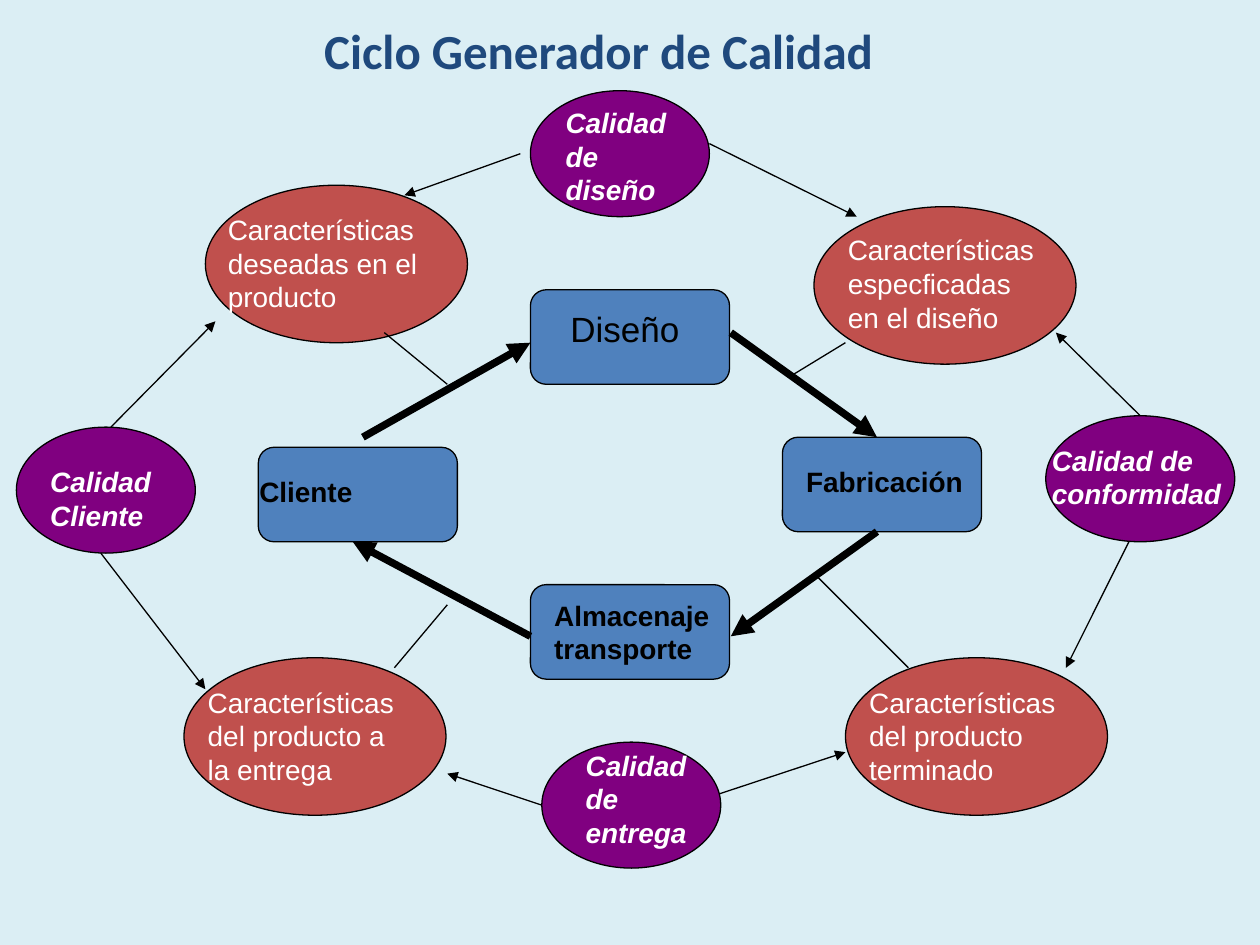
from lxml import etree
from pptx import Presentation
from pptx.dml.color import RGBColor
from pptx.enum.shapes import MSO_CONNECTOR, MSO_SHAPE
from pptx.enum.text import MSO_ANCHOR, PP_ALIGN
from pptx.oxml.ns import qn
from pptx.util import Cm, Pt

BACKGROUND = RGBColor(0xDB, 0xEE, 0xF4)
NAVY = RGBColor(0x1F, 0x49, 0x7D)
BLUE = RGBColor(0x4F, 0x81, 0xBD)
PURPLE = RGBColor(0x80, 0x00, 0x80)
RED = RGBColor(0xC0, 0x50, 0x4D)
BLACK = RGBColor(0, 0, 0)
WHITE = RGBColor(0xFF, 0xFF, 0xFF)

# Content; all positions and sizes are in inches
TITLE = "Ciclo Generador de Calidad"

# Each node: text, shape left/top, label left/top/width/height
STAGES = [
    ("Diseño", (4.21, 2.3), (4.21, 2.39, 1.5, 0.43)),
    ("Fabricación", (6.21, 3.47), (6.3, 3.64, 1.5, 0.37)),
    ("Almacenaje transporte", (4.21, 4.64), (4.3, 4.7, 1.5, 0.64)),
    ("Cliente", (2.05, 3.55), (1.96, 3.72, 1.67, 0.37)),
]
QUALITIES = [
    ("Calidad de diseño", (4.21, 0.72), (4.39, 0.79, 1.17, 0.9)),
    ("Calidad de conformidad", (8.3, 3.3), (8.25, 3.47, 1.75, 0.64)),
    ("Calidad de entrega", (4.3, 5.89), (4.55, 5.89, 1.17, 0.9)),
    ("Calidad Cliente", (0.13, 3.39), (0.3, 3.64, 1.17, 0.64)),
]
FEATURES = [
    ("Características deseadas en el producto", (1.63, 1.47), (1.71, 1.64, 1.75, 0.9)),
    ("Características especficadas en el diseño", (6.46, 1.64), (6.63, 1.8, 1.75, 0.9)),
    ("Características del producto a la entrega", (1.46, 5.22), (1.55, 5.39, 1.75, 0.9)),
    ("Características del producto terminado", (6.71, 5.22), (6.8, 5.39, 1.75, 0.9)),
]
# Shape, size, fill, text colour, bold, italic, nodes
GROUPS = [
    (MSO_SHAPE.ROUNDED_RECTANGLE, (1.58, 0.75), BLUE, BLACK, True, False, STAGES),
    (MSO_SHAPE.OVAL, (1.42, 1), PURPLE, WHITE, True, True, QUALITIES),
    (MSO_SHAPE.OVAL, (2.08, 1.25), RED, WHITE, False, False, FEATURES),
]
# Exceptions to the group rules
WIDE_QUALITY = {"Calidad de conformidad": (1.5, 1)}
LARGE_STAGE = "Diseño"

# Lines: from x, y, to x, y
CYCLE_ARROWS = [
    (2.88, 3.47, 4.21, 2.72), (5.8, 2.64, 6.96, 3.47),
    (6.96, 4.22, 5.8, 5.05), (4.21, 5.05, 2.8, 4.3),
]
QUALITY_ARROWS = [
    (9.05, 3.3, 8.38, 2.64), (8.96, 4.3, 8.46, 5.3),
    (4.13, 1.22, 3.21, 1.55), (5.63, 1.14, 6.8, 1.72),
    (5.71, 6.3, 6.71, 5.97), (4.3, 6.39, 3.55, 6.14),
    (0.88, 3.39, 1.71, 2.55), (0.8, 4.39, 1.63, 5.47),
]
FEATURE_LINES = [
    (3.05, 2.64, 3.55, 3.05), (6.71, 2.72, 6.3, 2.97),
    (3.13, 5.3, 3.55, 4.8), (7.21, 5.3, 6.46, 4.55),
]


def lengths(*inches):
    return [Cm(v * 2.54) for v in inches]


def add_node(s, kind, pos, size, fill):
    sp = s.shapes.add_shape(kind, *lengths(*pos, *size))
    sp.shadow.inherit = False
    sp.fill.solid()
    sp.fill.fore_color.rgb = fill
    sp.line.color.rgb = BLACK
    sp.line.width = Pt(0.75)


def add_label(s, text, box, color, bold, italic):
    tf = s.shapes.add_textbox(*lengths(*box)).text_frame
    tf.word_wrap = True
    p = tf.paragraphs[0]
    p.text = text
    large = text == LARGE_STAGE
    p.alignment = PP_ALIGN.CENTER if large else PP_ALIGN.LEFT
    p.font.name = "Arial"
    p.font.size = Pt(20 if large else 16)
    p.font.bold = bold and not large
    p.font.italic = italic
    p.font.color.rgb = color


def add_line(s, ends, width, arrow):
    c = s.shapes.add_connector(MSO_CONNECTOR.STRAIGHT, *lengths(*ends))
    c.line.color.rgb = BLACK
    c.line.width = Pt(width)
    if arrow:
        etree.SubElement(c.line._get_or_add_ln(), qn("a:tailEnd"), type="triangle")
    etree.SubElement(c._element.spPr, qn("a:effectLst"))


def main():
    prs = Presentation()
    prs.slide_width, prs.slide_height = lengths(10, 7.5)
    s = prs.slides.add_slide(prs.slide_layouts[5])
    s.background.fill.solid()
    s.background.fill.fore_color.rgb = BACKGROUND

    # Title
    title = s.shapes.title
    title.left, title.top, title.width, title.height = lengths(0.5, 0.11, 8.5, 0.57)
    tf = title.text_frame
    tf.vertical_anchor = MSO_ANCHOR.MIDDLE
    p = tf.paragraphs[0]
    p.text = TITLE
    p.alignment = PP_ALIGN.CENTER
    p.font.name = "Calibri"
    p.font.size = Pt(28)
    p.font.bold = True
    p.font.color.rgb = NAVY

    # Nodes with their labels
    for kind, size, fill, color, bold, italic, nodes in GROUPS:
        for text, pos, box in nodes:
            add_node(s, kind, pos, WIDE_QUALITY.get(text, size), fill)
            add_label(s, text, box, color, bold, italic)

    # Arrows and lines
    for group, width, arrow in [(CYCLE_ARROWS, 4.25, True),
                                (QUALITY_ARROWS, 0.75, True),
                                (FEATURE_LINES, 0.75, False)]:
        for ends in group:
            add_line(s, ends, width, arrow)

    prs.save("out.pptx")


if __name__ == "__main__":
    main()
